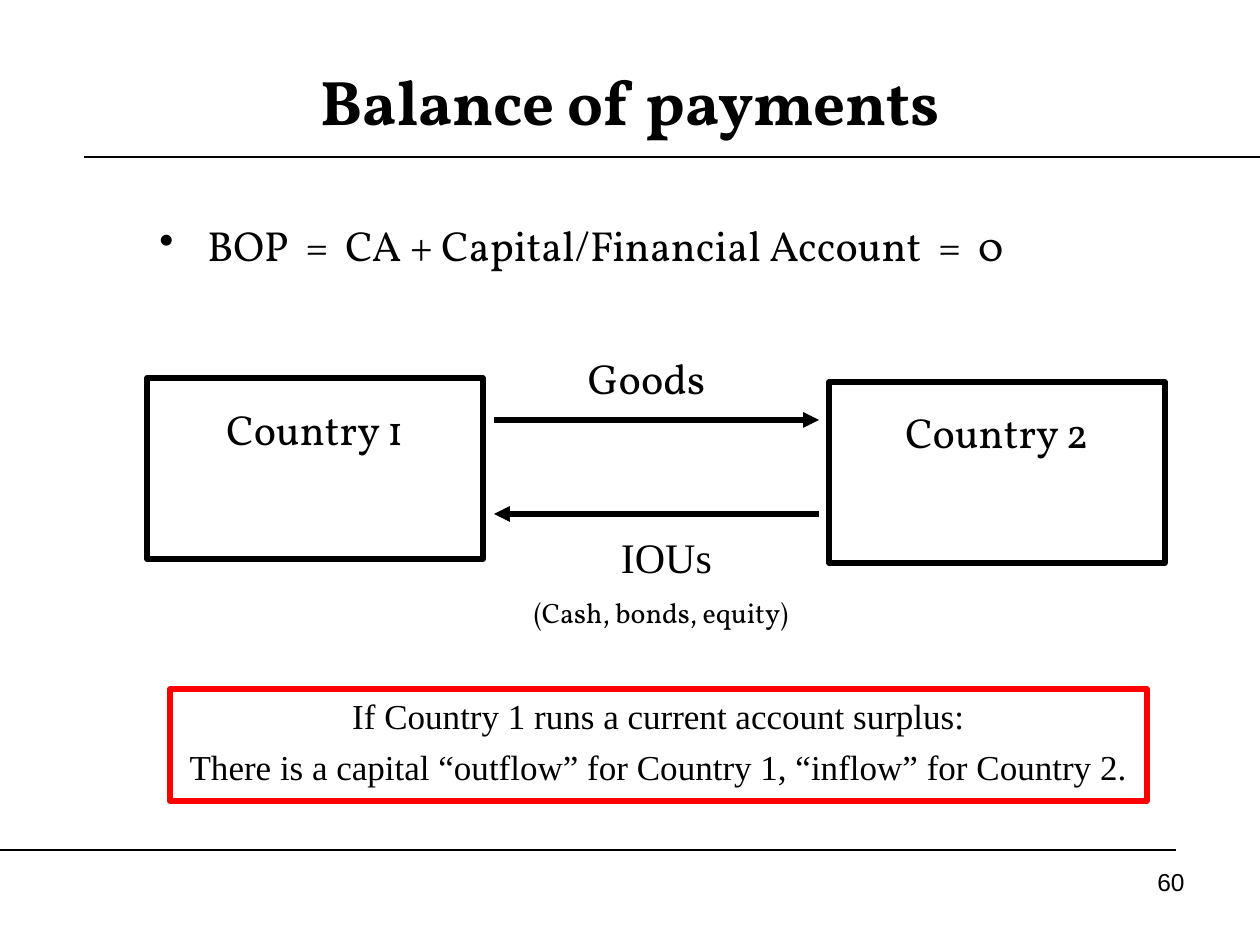
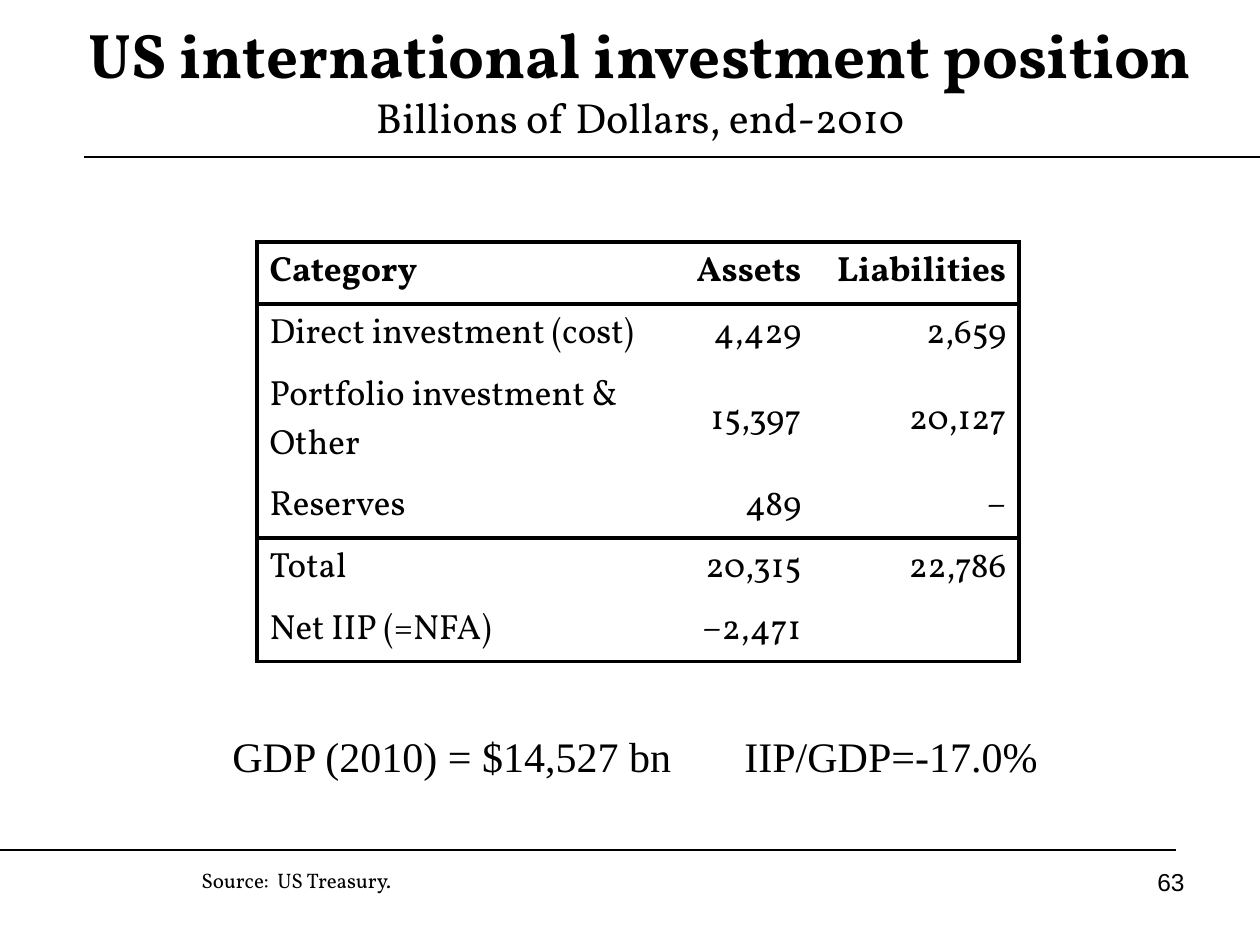
import dataclasses
import pptx
import pptx.util
import pptx.dml.color
import pptx.enum.shapes
import pptx.enum.text
import pptx.oxml
import pptx.oxml.ns
import lxml.etree

ALIGN = pptx.enum.text.PP_ALIGN
ANCHOR = pptx.enum.text.MSO_ANCHOR
SHAPE = pptx.enum.shapes.MSO_SHAPE
STRAIGHT = pptx.enum.shapes.MSO_CONNECTOR.STRAIGHT
Pt = pptx.util.Pt
qn = pptx.oxml.ns.qn
SCALE = 914400 // 126


@dataclasses.dataclass(frozen=True)
class Theme:
    ink: pptx.dml.color.RGBColor = pptx.dml.color.RGBColor(0, 0, 0)
    accent: pptx.dml.color.RGBColor = pptx.dml.color.RGBColor(255, 0, 0)
    display: str = "Vollkorn"
    serif: str = "Times New Roman"
    sans: str = "Arial"
    title: int = 36
    body: int = 24
    table: int = 20
    detail: int = 16
    number: int = 14
    source: int = 12
    rule: float = 0.75
    border: float = 2.25
    frame: float = 3


theme = Theme()


def set_text(para, text, face, size, align=ALIGN.LEFT, before=0, bold=False):
    para.text = text
    para.alignment = align
    para.space_before = Pt(0)
    if before:
        spacing = para._p.pPr.find(qn("a:spcBef"))
        spacing.remove(spacing[0])
        lxml.etree.SubElement(spacing, qn("a:spcPct"), val=str(before * 1000))
    para.font.name = face
    para.font.size = Pt(size)
    para.font.bold = bold
    para.font.color.rgb = theme.ink


def add_line(page, start, end, width, arrow=False):
    line = page.shapes.add_connector(STRAIGHT, *[v * SCALE for v in start + end])
    line.line.color.rgb = theme.ink
    line.line.width = Pt(width)
    properties = line._element.spPr
    if arrow:
        lxml.etree.SubElement(properties.find(qn("a:ln")), qn("a:tailEnd"), type="triangle")
    lxml.etree.SubElement(properties, qn("a:effectLst"))


deck = pptx.Presentation()
deck.slide_width = 1260 * SCALE
deck.slide_height = 945 * SCALE

pages = []
for heading, subtitle, number, left, top in [
    ("Balance of payments", "", "60", 63, 42),
    ("US international investment position", "Billions of Dollars, end-2010", "63", 73, 21),
]:
    page = deck.slides.add_slide(deck.slide_layouts[5])
    pages.append(page)
    add_line(page, (84, 157), (1260, 157), theme.rule)
    add_line(page, (0, 850), (1176, 850), theme.rule)

    title = page.shapes.title
    title.left, title.top, title.width, title.height = [v * SCALE for v in (left, top, 1134, 116)]
    title.text_frame.auto_size = pptx.enum.text.MSO_AUTO_SIZE.NONE
    title.text_frame.vertical_anchor = ANCHOR.MIDDLE
    para = title.text_frame.paragraphs[0]
    set_text(para, heading, theme.display, theme.title, ALIGN.CENTER, bold=True)
    if subtitle:
        para.add_line_break()
        span = para.add_run()
        span.text = subtitle
        span.font.size = Pt(theme.body)
        span.font.bold = False

    box = page.shapes.add_textbox(*[v * SCALE for v in (903, 861, 294, 66)])
    box.text_frame.word_wrap = True
    set_text(box.text_frame.paragraphs[0], number, theme.sans, theme.number, ALIGN.RIGHT)

payments, position = pages

framed = []
for place, color, inset, lines, face, size, before in [
    ((147, 378, 336, 181), theme.ink, 25, ["Country 1"], theme.display, theme.body, 50),
    ((829, 382, 336, 181), theme.ink, 25, ["Country 2"], theme.display, theme.body, 50),
    ((170, 689, 977, 112), theme.accent, 6,
     ["If Country 1 runs a current account surplus:",
      "There is a capital “outflow” for Country 1, “inflow” for Country 2."],
     theme.serif, theme.table, 25),
]:
    box = payments.shapes.add_shape(SHAPE.RECTANGLE, *[v * SCALE for v in place])
    box.shadow.inherit = False
    box.fill.background()
    box.line.color.rgb = color
    box.line.width = Pt(theme.frame)
    frame = box.text_frame
    frame.word_wrap = True
    frame.vertical_anchor = ANCHOR.TOP
    frame.margin_top = inset * SCALE
    for index, line in enumerate(lines):
        para = frame.add_paragraph() if index else frame.paragraphs[0]
        set_text(para, line, face, size, ALIGN.CENTER, before)
    framed.append(box)
framed[-1].text_frame.paragraphs[0]._p.pPr.set("indent", str(-36 * SCALE))

add_line(payments, (494, 420), (819, 420), theme.frame, arrow=True)
add_line(payments, (819, 514), (494, 514), theme.frame, arrow=True)

labels = []
for page, place, text, face, size, align in [
    (payments, (514, 525, 305, 113), "IOUs", theme.serif, theme.body, ALIGN.CENTER),
    (payments, (567, 346, 159, 63), "Goods", theme.display, theme.body, ALIGN.CENTER),
    (payments, (147, 219, 998, 74), "BOP  =  CA + Capital/Financial Account  =  0",
     theme.display, theme.body, ALIGN.LEFT),
    (position, (189, 861, 483, 38), "Source:  US Treasury.", theme.display, theme.source, ALIGN.LEFT),
    (position, (220, 724, 840, 64), "GDP (2010) = $14,527 bn\tIIP/GDP=-17.0%",
     theme.serif, theme.body, ALIGN.LEFT),
]:
    box = page.shapes.add_textbox(*[v * SCALE for v in place])
    box.text_frame.word_wrap = True
    para = box.text_frame.paragraphs[0]
    set_text(para, text, face, size, align, 50)
    labels.append(para)
claims, goods, identity, source, ratio = labels

claims.add_line_break()
for text, face, size in [
    ("(Cash, bonds, equity)", theme.display, theme.detail),
    (" ", theme.serif, theme.body),
]:
    span = claims.add_run()
    span.text = text
    span.font.name = face
    span.font.size = Pt(size)

identity.line_spacing = 0.9
properties = identity._p.pPr
properties.set("marL", str(48 * SCALE))
properties.set("indent", str(-48 * SCALE))
bullet = pptx.oxml.parse_xml('<a:buChar %s char="•"/>' % pptx.oxml.ns.nsdecls("a"))
properties.insert_element_before(bullet, "a:defRPr")

tabs = pptx.oxml.parse_xml(
    '<a:tabLst %s><a:tab pos="%d" algn="l"/></a:tabLst>' % (pptx.oxml.ns.nsdecls("a"), 512 * SCALE))
ratio._p.pPr.insert_element_before(tabs, "a:defRPr")

rows = [
    ("Category", "Assets", "Liabilities"),
    ("Direct investment (cost)", "4,429", "2,659"),
    ("Portfolio investment & Other", "15,397", "20,127"),
    ("Reserves", "489", "–"),
    ("Total", "20,315", "22,786"),
    ("Net IIP (=NFA)", "–2,471", ""),
]
widths = [412, 145, 205]
heights = [62, 62, 110, 62, 62, 62]
table = position.shapes.add_table(
    len(rows), len(widths), *[v * SCALE for v in (257, 242, sum(widths), sum(heights))]).table
table.first_row = False
table.horz_banding = False
for column, width in zip(table.columns, widths):
    column.width = width * SCALE
for row_index, (values, height) in enumerate(zip(rows, heights)):
    table.rows[row_index].height = height * SCALE
    for column_index, value in enumerate(values):
        cell = table.cell(row_index, column_index)
        cell.vertical_anchor = ANCHOR.MIDDLE
        set_text(cell.text_frame.paragraphs[0], value, theme.display, theme.table,
                 ALIGN.RIGHT if column_index else ALIGN.LEFT, 20, row_index == 0)
        edges = {
            "L": column_index == 0,
            "R": column_index == len(widths) - 1,
            "T": row_index in (0, 1, 4),
            "B": row_index in (0, 3, 5),
        }
        properties = cell._tc.get_or_add_tcPr()
        for side, drawn in edges.items():
            edge = lxml.etree.SubElement(properties, qn("a:ln" + side), w=str(Pt(theme.border)))
            if drawn:
                fill = lxml.etree.SubElement(edge, qn("a:solidFill"))
                lxml.etree.SubElement(fill, qn("a:srgbClr"), val=str(theme.ink))
            else:
                lxml.etree.SubElement(edge, qn("a:noFill"))
        cell.fill.background()

deck.save("out.pptx")
